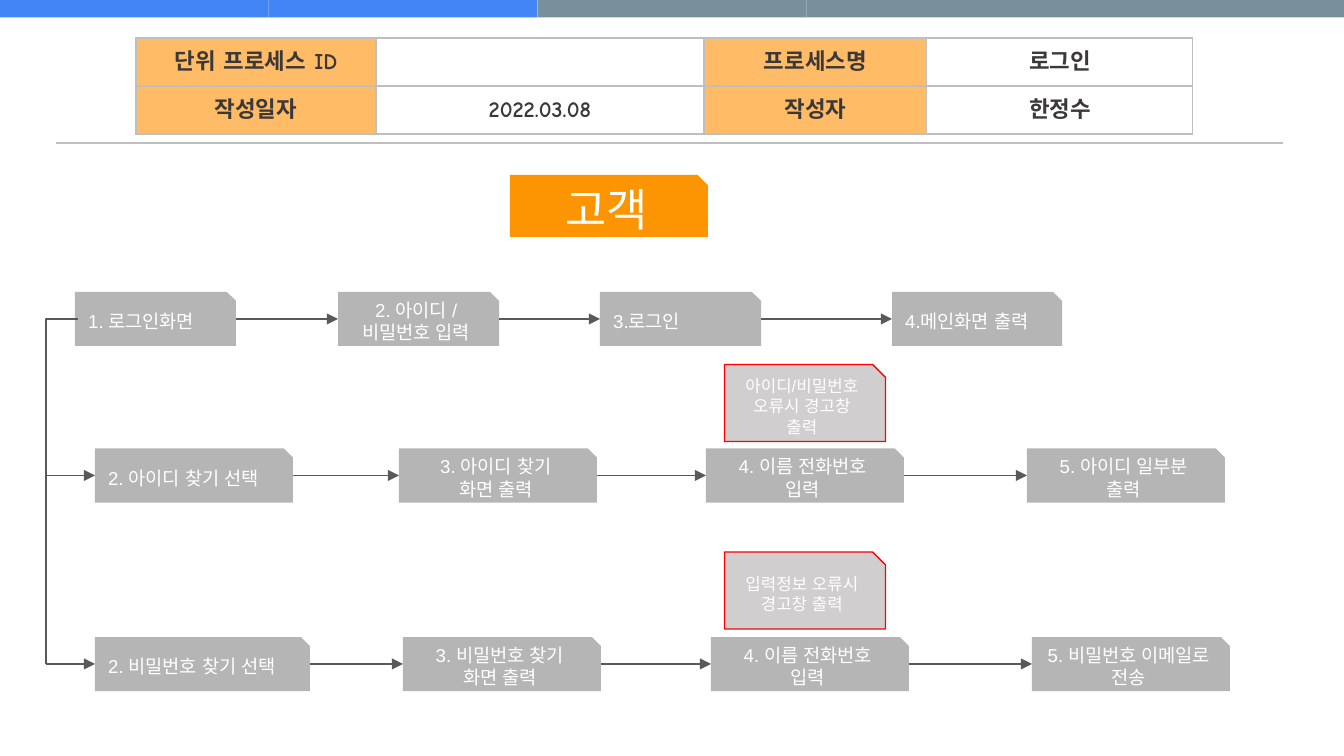
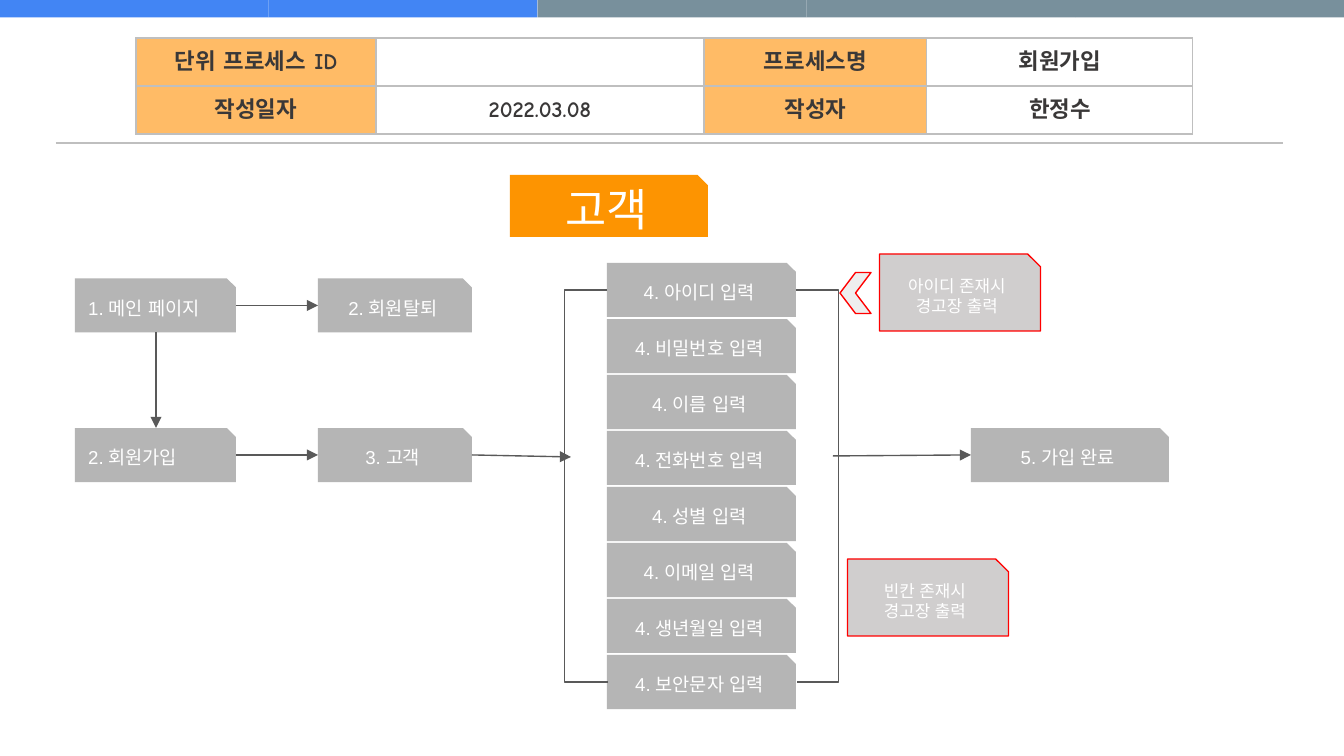
from dataclasses import dataclass
from itertools import pairwise

from lxml.etree import SubElement
from pptx import Presentation
from pptx.dml.color import RGBColor
from pptx.enum.shapes import MSO_CONNECTOR as Connector, MSO_SHAPE as Shape
from pptx.enum.text import MSO_ANCHOR as Anchor, PP_ALIGN as Align
from pptx.oxml import parse_xml
from pptx.oxml.ns import nsdecls, qn
from pptx.util import Pt

EMU_PER_PIXEL = 914400 / 134.4
PAGE_WIDTH, PAGE_HEIGHT = 1344, 756


@dataclass(frozen=True)
class Theme:
    blue: str = "4285F4"
    slate: str = "78909C"
    rule: str = "BFBFBF"
    label: str = "FFAB40"
    white: str = "FFFFFF"
    ink: str = "3A3838"
    role: str = "FD9401"
    step: str = "B5B5B5"
    alert: str = "D0CECE"
    alert_line: str = "FF0000"
    chevron: str = "EEEEEE"
    arrow: str = "595959"
    body_font: str = "Arial"
    table_font: str = "Comic Neue"
    role_size: int = 24
    table_size: int = 12
    step_size: int = 10
    alert_size: int = 9
    thin: float = 0.75
    thick: float = 1.5


THEME = Theme()
STEP_HEIGHT = 54
ALERT_WIDTH, ALERT_HEIGHT = 161, 77


def px(length):
    return round(length * EMU_PER_PIXEL)


def rgb(color):
    return RGBColor.from_string(color)


# Text
def style_text(frame, text, font, size, color, align, bold=False):
    frame.text = text
    for para in frame.paragraphs:
        para.alignment = align
        for span in para.runs:
            span.font.name = font
            span.font.size = Pt(size)
            span.font.bold = bold
            span.font.color.rgb = rgb(color)
            for script in ("a:ea", "a:cs"):
                SubElement(span.font._element, qn(script), typeface=font)


# Shapes
def add_box(page, kind, left, top, width, height, fill, line=None):
    box = page.shapes.add_shape(kind, px(left), px(top), px(width), px(height))
    box.shadow.inherit = False
    box.fill.solid()
    box.fill.fore_color.rgb = rgb(fill)
    if line:
        box.line.color.rgb = rgb(line)
        box.line.width = Pt(THEME.thin)
    else:
        box.line.fill.background()
    return box


def add_card(page, text, left, top, width, height, fill, size,
             align=Align.CENTER, line=None):
    card = add_box(page, Shape.SNIP_1_RECTANGLE, left, top, width, height, fill, line)
    frame = card.text_frame
    frame.word_wrap = True
    frame.vertical_anchor = Anchor.MIDDLE
    style_text(frame, text, THEME.body_font, size, THEME.white, align)


def add_step(page, text, left, top, width, align=Align.CENTER):
    add_card(page, text, left, top, width, STEP_HEIGHT,
             THEME.step, THEME.step_size, align)


def add_alert(page, text, left, top):
    add_card(page, text, left, top, ALERT_WIDTH, ALERT_HEIGHT,
             THEME.alert, THEME.alert_size, line=THEME.alert_line)


# Lines
def add_line(page, start, end, color=THEME.arrow, weight=THEME.thin,
             kind=Connector.STRAIGHT):
    line = page.shapes.add_connector(kind, *map(px, start + end))
    line.line.color.rgb = rgb(color)
    line.line.width = Pt(weight)
    SubElement(line._element.spPr, qn("a:effectLst"))
    return line


def add_arrow(page, start, end):
    arrow = add_line(page, start, end)
    SubElement(arrow.line._get_or_add_ln(), qn("a:tailEnd"), type="triangle")


def add_elbow(page, start, end, bend):
    """Bend is the place of the upright part, as a share of the width."""
    elbow = add_line(page, start, end, kind=Connector.ELBOW)
    geometry = elbow._element.spPr.find(qn("a:prstGeom"))
    values = geometry.find(qn("a:avLst"))
    if values is None:
        values = SubElement(geometry, qn("a:avLst"))
    SubElement(values, qn("a:gd"), name="adj1", fmla=f"val {bend * 100000}")


# Table
def border_cell(cell):
    properties = cell._tc.get_or_add_tcPr()
    for index, side in enumerate(("lnL", "lnR", "lnT", "lnB")):
        properties.insert(index, parse_xml(
            f'<a:{side} {nsdecls("a")} w="{Pt(THEME.thin)}"><a:solidFill>'
            f'<a:srgbClr val="{THEME.rule}"/></a:solidFill></a:{side}>'))


def fill_cell(cell, text, is_label):
    cell.margin_left = cell.margin_right = px(10)
    cell.margin_top = cell.margin_bottom = px(5)
    cell.vertical_anchor = Anchor.MIDDLE
    style_text(cell.text_frame, text, THEME.table_font, THEME.table_size,
               THEME.ink, Align.CENTER, bold=True)
    if not text:
        SubElement(cell.text_frame.paragraphs[0]._p, qn("a:endParaRPr"),
                   sz=str(THEME.table_size * 100))
    cell.fill.solid()
    cell.fill.fore_color.rgb = rgb(THEME.label if is_label else THEME.white)
    if is_label:
        color = cell._tc.tcPr.find(qn("a:solidFill"))[0]
        SubElement(color, qn("a:alpha"), val="80000")
    border_cell(cell)


def add_info_table(page, process):
    rows = [("단위 프로세스 ID", "", "프로세스명", process),
            ("작성일자", "2022.03.08", "작성자", "한정수")]
    widths = (240, 328, 223, 266)
    height = 48
    table = page.shapes.add_table(len(rows), len(widths), px(136), px(38),
                                  px(sum(widths)), px(height * len(rows))).table
    table.first_row = table.horz_banding = False
    for column, width in zip(table.columns, widths):
        column.width = px(width)
    for row, texts in enumerate(rows):
        table.rows[row].height = px(height)
        for column, text in enumerate(texts):
            fill_cell(table.cell(row, column), text, is_label=column % 2 == 0)


# Parts that every page has
def add_page(deck, process):
    page = deck.slides.add_slide(deck.slide_layouts[6])
    band_colors = [THEME.blue] * 2 + [THEME.slate] * 3
    band_width = PAGE_WIDTH / len(band_colors)
    for index, color in enumerate(band_colors):
        add_box(page, Shape.RECTANGLE, index * band_width, 0, band_width, 17.5, color)
    add_line(page, (56, 143), (1283, 143), THEME.rule, THEME.thick)
    add_info_table(page, process)
    add_card(page, "고객", 510, 175, 198, 62, THEME.role, THEME.role_size)
    return page


def add_flow(page, top, steps):
    """A row of steps, each joined to the next by an arrow."""
    middle = top + STEP_HEIGHT / 2
    for step in steps:
        text, left, width, *align = step
        add_step(page, text, left, top, width, *align)
    for (_, left, width, *_), (_, target, *_) in pairwise(steps):
        add_arrow(page, (left + width, middle), (target, middle))


def add_login_page(deck):
    page = add_page(deck, "로그인")
    login_top, id_top, password_top = 292, 448.5, 637
    half = STEP_HEIGHT / 2
    add_flow(page, login_top, [
        ("1. 로그인화면", 75, 161, Align.LEFT),
        ("2. 아이디 / 비밀번호 입력", 338, 161),
        ("3.로그인", 600, 161, Align.LEFT),
        ("4.메인화면 출력", 892, 170, Align.LEFT)])
    add_flow(page, id_top, [
        ("2. 아이디 찾기 선택", 95, 198, Align.LEFT),
        ("3. 아이디 찾기\n화면 출력", 399, 198),
        ("4. 이름 전화번호\n입력", 706, 198),
        ("5. 아이디 일부분 출력", 1027, 198)])
    add_flow(page, password_top, [
        ("2. 비밀번호 찾기 선택", 95, 215, Align.LEFT),
        ("3. 비밀번호 찾기\n화면 출력", 403, 198),
        ("4. 이름 전화번호\n입력", 711, 198),
        ("5. 비밀번호 이메일로 전송", 1032, 198)])

    # Branch from the login screen to the two searches
    trunk = 46
    add_elbow(page, (78, login_top + half), (trunk, password_top + half), 1)
    for top in (id_top, password_top):
        add_arrow(page, (trunk, top + half), (95, top + half))

    add_alert(page, "아이디/비밀번호 오류시 경고창 출력", 724.5, 364.5)
    add_alert(page, "입력정보 오류시 경고창 출력", 724.5, 552)


def add_signup_page(deck):
    page = add_page(deck, "회원가입")
    main_top, signup_top = 278.5, 428
    add_flow(page, main_top, [
        ("1. 메인 페이지", 75, 161, Align.LEFT), ("2. 회원탈퇴", 318, 154)])
    add_flow(page, signup_top, [
        ("2. 회원가입", 75, 161, Align.LEFT), ("3. 고객", 318, 154)])
    add_step(page, "5. 가입 완료", 971, signup_top, 198)
    add_arrow(page, (156, main_top + STEP_HEIGHT), (156, signup_top))

    # Column of entry fields between two brackets
    fields = ["아이디", "비밀번호", "이름", "전화번호",
              "성별", "이메일", "생년월일", "보안문자"]
    left, top, width, pitch = 607, 263, 189, 56
    for index, field in enumerate(fields):
        add_step(page, f"4. {field} 입력", left, top + index * pitch, width)
    first = top + STEP_HEIGHT / 2
    last = first + (len(fields) - 1) * pitch
    reach = 42
    add_elbow(page, (left, first), (left + 1, last), -reach)
    add_elbow(page, (left + width, first), (left + width + 1, last), reach)
    add_arrow(page, (472, 455), (571, 457))
    add_arrow(page, (833, 456), (971, 455))

    # Warnings
    add_alert(page, "아이디 존재시\n경고장 출력", 879.5, 254)
    add_alert(page, "빈칸 존재시\n경고장 출력", 847.5, 559)
    chevron = add_box(page, Shape.CHEVRON, 840, 272.5, 31, 41,
                      THEME.chevron, THEME.alert_line)
    chevron.rotation = 180


def main():
    deck = Presentation()
    deck.slide_width = px(PAGE_WIDTH)
    deck.slide_height = px(PAGE_HEIGHT)
    add_login_page(deck)
    add_signup_page(deck)
    deck.save("out.pptx")


main()
